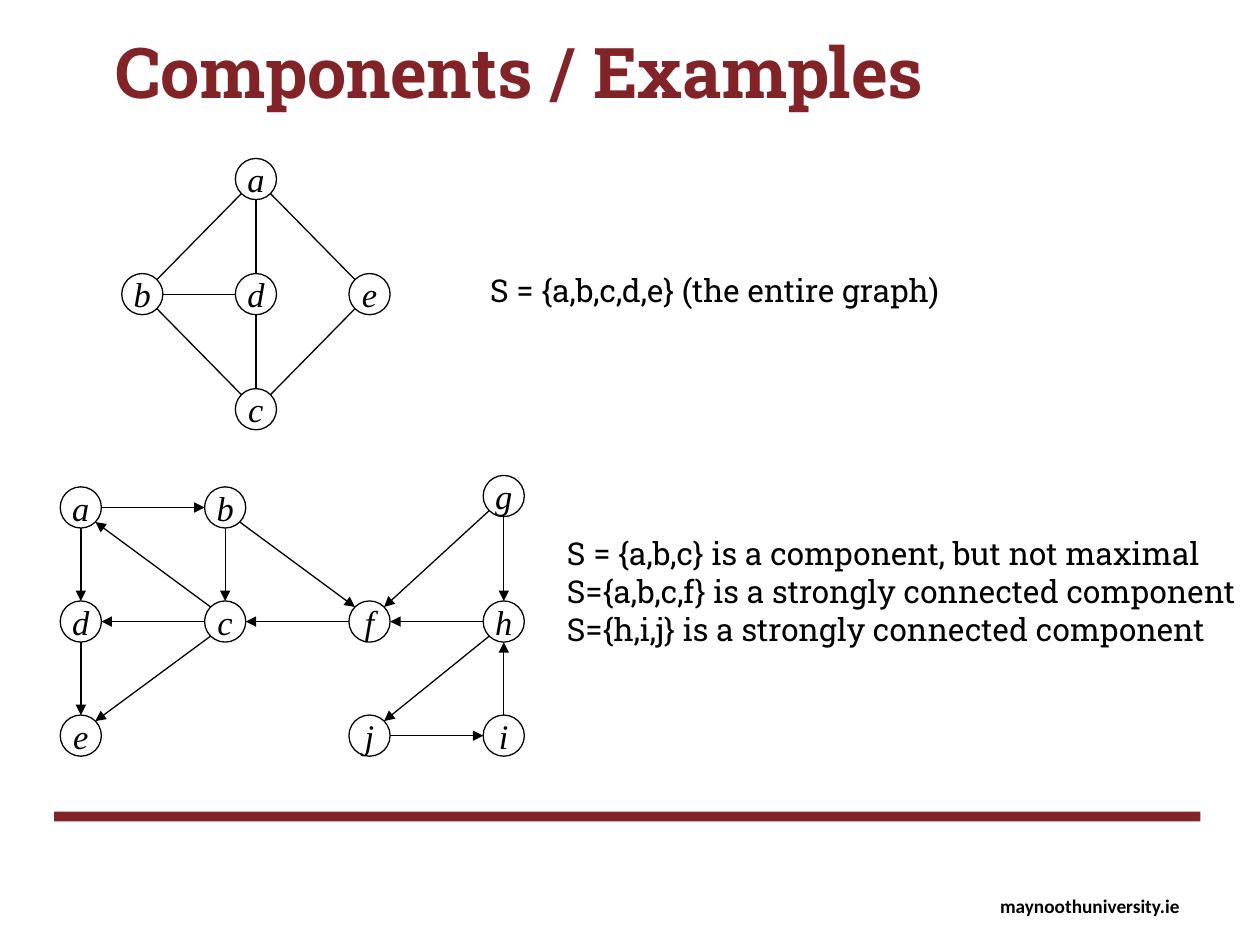
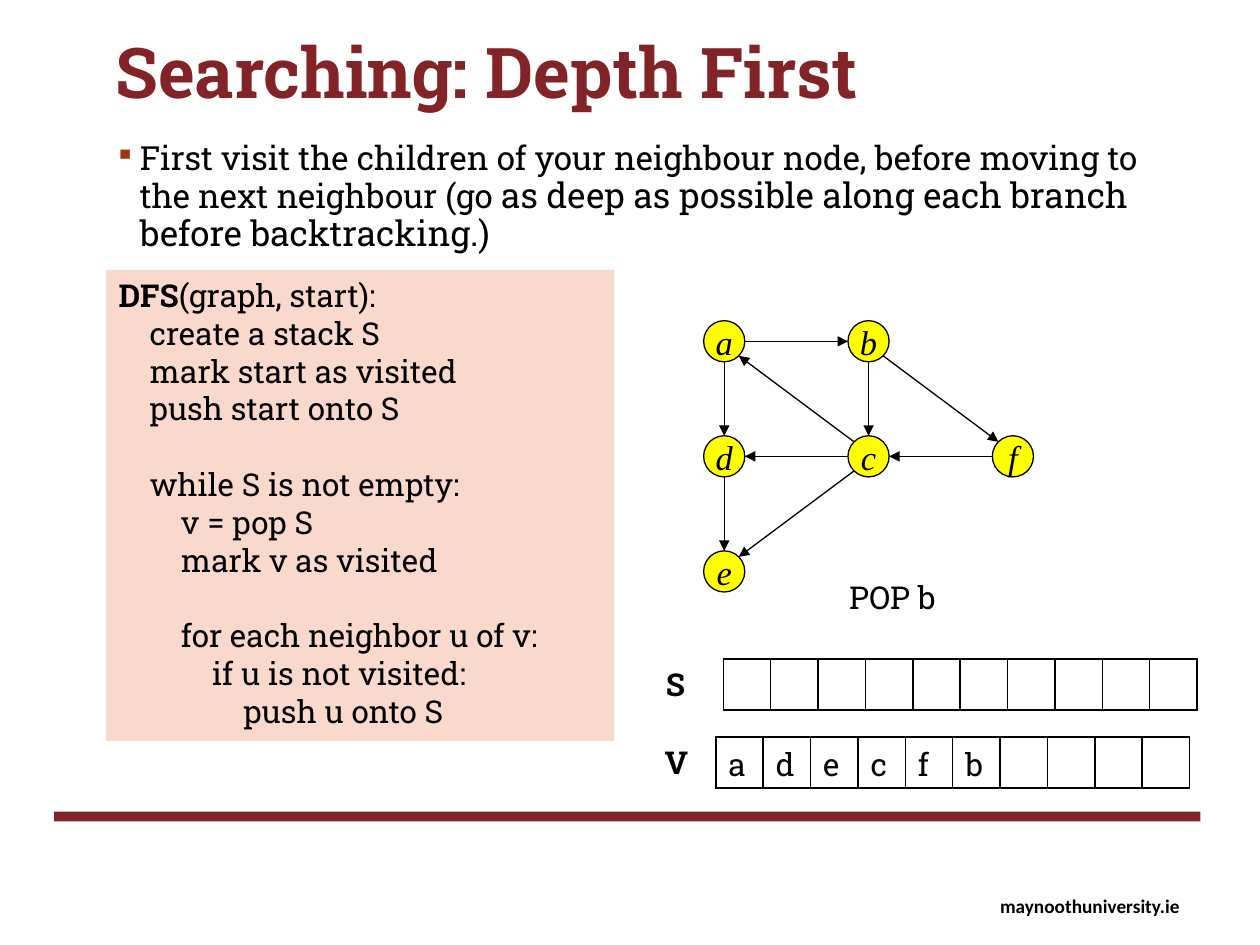
"""Builds two slides on graph components and depth-first search."""
from dataclasses import dataclass
from typing import Optional

from lxml.etree import SubElement
from pptx import Presentation
from pptx.dml.color import RGBColor
from pptx.enum.shapes import MSO_CONNECTOR, MSO_SHAPE
from pptx.enum.text import MSO_ANCHOR, PP_ALIGN
from pptx.oxml.ns import qn
from pptx.util import Cm, Pt


@dataclass(frozen=True)
class Theme:
    maroon: str = "822327"
    black: str = "000000"
    peach: str = "FAD9CD"
    yellow: str = "FFFF00"
    bullet: str = "9E3611"
    body_font: str = "Roboto Slab"
    node_font: str = "Times New Roman"
    footer_font: str = "Calibri"
    title_size: float = 40
    lead_size: float = 19
    lead_end_size: float = 20
    body_size: float = 18
    node_size: float = 19.7
    footer_size: float = 11
    line_width: float = 0.75
    border_width: float = 1
    code_gap: float = 21.6


THEME = Theme()


@dataclass(frozen=True)
class Label:
    left: float
    top: float
    width: float
    height: float
    lines: tuple
    size: float = THEME.body_size
    font: str = THEME.body_font
    color: str = THEME.black
    bold: bool = False
    align: PP_ALIGN = PP_ALIGN.LEFT
    spacing: Optional[float] = None


@dataclass(frozen=True)
class Graph:
    left: float
    top: float
    col_step: float
    row_step: float
    nodes: dict
    edges: str
    directed: bool = True
    fill: Optional[str] = None


@dataclass(frozen=True)
class CellStrip:
    name: str
    left: float
    top: float
    label_left: float
    values: str = ""


NODE_DIAMETER = 0.83
DIAGONAL = 0.5 ** 0.5
STRIP_CELLS = 10
STRIP_WIDTH = 9.55
STRIP_HEIGHT = 1.03

DIAMOND = {"a": (1, 0), "b": (0, 1), "c": (1, 2), "d": (1, 1), "e": (2, 1)}
CORE = {"a": (0, 0), "d": (0, 1), "e": (0, 2), "b": (1, 0), "c": (1, 1), "f": (2, 1)}
TAIL = {"j": (2, 2), "h": (2.93, 1), "g": (2.93, -0.1), "i": (2.93, 2)}
CORE_EDGES = "ad ab bc ca cd ce de bf fc"
TAIL_EDGES = "gf gh hj ji ih hf"

DFS_CODE = (
    "(graph, start):",
    "    create a stack S",
    "    mark start as visited",
    "    push start onto S",
    "    while S is not empty:",
    "        v = pop S",
    "        mark v as visited",
    "        for each neighbor u of v:",
    "            if u is not visited:",
    "                push u onto S",
)
CODE_BLOCK_STARTS = (4, 7)


def rgb(color: str) -> RGBColor:
    return RGBColor.from_string(color)


def style(font, size: float, name: str = THEME.body_font, color: str = THEME.black,
          bold: bool = False, italic: bool = False) -> None:
    font.size, font.name, font.bold, font.italic = Pt(size), name, bold, italic
    font.color.rgb = rgb(color)


def add_label(s, label: Label):
    sp = s.shapes.add_textbox(Cm(label.left), Cm(label.top), Cm(label.width), Cm(label.height))
    tf = sp.text_frame
    tf.word_wrap = True
    for i, line in enumerate(label.lines):
        p = tf.paragraphs[0] if i == 0 else tf.add_paragraph()
        p.text = line
        p.alignment = label.align
        p.line_spacing = label.spacing
        style(p.font, label.size, label.font, label.color, label.bold)
    return sp


def add_block(s, left: float, top: float, width: float, height: float, fill: str):
    sp = s.shapes.add_shape(MSO_SHAPE.RECTANGLE, Cm(left), Cm(top), Cm(width), Cm(height))
    sp.shadow.inherit = False
    sp.fill.solid()
    sp.fill.fore_color.rgb = rgb(fill)
    sp.line.fill.background()
    return sp


def add_node(s, letter: str, x: float, y: float, fill: Optional[str]) -> None:
    r = NODE_DIAMETER / 2
    sp = s.shapes.add_shape(MSO_SHAPE.OVAL, Cm(x - r), Cm(y - r),
                            Cm(NODE_DIAMETER), Cm(NODE_DIAMETER))
    sp.shadow.inherit = False
    if fill:
        sp.fill.solid()
        sp.fill.fore_color.rgb = rgb(fill)
    else:
        sp.fill.background()
    sp.line.color.rgb = rgb(THEME.black)
    sp.line.width = Pt(THEME.line_width)
    tf = sp.text_frame
    tf.word_wrap = False
    tf.vertical_anchor = MSO_ANCHOR.MIDDLE
    p = tf.paragraphs[0]
    p.text = letter
    p.alignment = PP_ALIGN.CENTER
    style(p.font, THEME.node_size, THEME.node_font, italic=True)


def add_edge(s, start: tuple, end: tuple, directed: bool) -> None:
    signs = [(b > a) - (b < a) for a, b in zip(start, end)]
    reach = NODE_DIAMETER / 2 * (DIAGONAL if all(signs) else 1)
    x1, y1 = (a + reach * sign for a, sign in zip(start, signs))
    x2, y2 = (b - reach * sign for b, sign in zip(end, signs))
    line = s.shapes.add_connector(MSO_CONNECTOR.STRAIGHT, Cm(x1), Cm(y1), Cm(x2), Cm(y2))
    line.line.color.rgb = rgb(THEME.black)
    line.line.width = Pt(THEME.line_width)
    if directed:
        SubElement(line.line._get_or_add_ln(), qn("a:tailEnd"), type="triangle")
    SubElement(line._element.spPr, qn("a:effectLst"))


def add_graph(s, graph: Graph) -> None:
    centres = {letter: (graph.left + col * graph.col_step, graph.top + row * graph.row_step)
               for letter, (col, row) in graph.nodes.items()}
    for letter, (x, y) in centres.items():
        add_node(s, letter, x, y, graph.fill)
    for start, end in graph.edges.split():
        add_edge(s, centres[start], centres[end], graph.directed)


def add_strip(s, strip: CellStrip) -> None:
    add_label(s, Label(strip.label_left, strip.top, 1.47, 1.02, (strip.name,),
                       bold=True, align=PP_ALIGN.CENTER))
    table = s.shapes.add_table(1, STRIP_CELLS, Cm(strip.left), Cm(strip.top),
                               Cm(STRIP_WIDTH), Cm(STRIP_HEIGHT)).table
    table.first_row = table.horz_banding = False
    for cell, letter in zip(table.iter_cells(), strip.values.ljust(STRIP_CELLS)):
        p = cell.text_frame.paragraphs[0]
        p.text = letter.strip()
        style(p.font, THEME.body_size)
        tc_pr = cell._tc.get_or_add_tcPr()
        for side in ("lnL", "lnR", "lnT", "lnB"):
            ln = SubElement(tc_pr, qn(f"a:{side}"), w=str(Pt(THEME.border_width)))
            solid = SubElement(ln, qn("a:solidFill"))
            SubElement(solid, qn("a:srgbClr"), val=THEME.black)
        cell.fill.background()


def add_lead(s) -> None:
    sp = s.shapes.add_textbox(Cm(1.3), Cm(2.74), Cm(22.63), Cm(2.34))
    sp.text_frame.word_wrap = True
    p = sp.text_frame.paragraphs[0]
    p.line_spacing = 0.9
    p_pr = p._p.get_or_add_pPr()
    p_pr.set("marL", str(Cm(1.27)))
    p_pr.set("indent", str(Cm(-0.51)))
    SubElement(SubElement(p_pr, qn("a:buClr")), qn("a:srgbClr"), val=THEME.bullet)
    SubElement(p_pr, qn("a:buSzPct"), val="85000")
    SubElement(p_pr, qn("a:buChar"), char="▪")
    style(p.font, THEME.lead_size)
    for text, size in (
        ("First visit the children of your neighbour node, before moving to the next "
         "neighbour (go ", THEME.lead_size),
        ("as deep as possible along each branch before backtracking.)", THEME.lead_end_size),
    ):
        r = p.add_run()
        r.text = text
        r.font.size = Pt(size)


def add_code(s) -> None:
    tf = add_block(s, 2.14, 5.44, 10.24, 9.5, THEME.peach).text_frame
    tf.word_wrap = True
    tf.vertical_anchor = MSO_ANCHOR.TOP
    for i, line in enumerate(DFS_CODE):
        p = tf.paragraphs[0] if i == 0 else tf.add_paragraph()
        p.alignment = PP_ALIGN.LEFT
        style(p.font, THEME.body_size)
        if i == 0:
            r = p.add_run()
            r.text = "DFS"
            r.font.bold = True
        if i in CODE_BLOCK_STARTS:
            p.space_before = Pt(THEME.code_gap)
        r = p.add_run()
        r.text = line
        r.font.color.rgb = rgb(THEME.black)
        if i == 0:
            p.runs[0].font.color.rgb = rgb(THEME.black)


def new_slide(prs, title: str):
    s = prs.slides.add_slide(prs.slide_layouts[6])
    add_label(s, Label(19.91, 17.91, 4.3, 0.74, ("maynoothuniversity.ie",),
                       THEME.footer_size, THEME.footer_font, bold=True))
    add_block(s, 1.09, 16.36, 23.11, 0.2, THEME.maroon)
    add_label(s, Label(2.08, 0.64, 21, 3.12, (title,), THEME.title_size,
                       color=THEME.maroon, bold=True, spacing=0.9))
    return s


def components_slide(prs) -> None:
    s = new_slide(prs, "Components / Examples")
    add_graph(s, Graph(2.87, 3.61, 2.29, 2.32, DIAMOND, "ad dc bd ab ae ec cb", directed=False))
    add_graph(s, Graph(1.63, 10.23, 2.91, 2.3, CORE | TAIL, f"{CORE_EDGES} {TAIL_EDGES}"))
    add_label(s, Label(9.63, 5.33, 12.5, 1.02, ("S = {a,b,c,d,e} (the entire graph)",)))
    add_label(s, Label(11.18, 10.64, 14.22, 2.57, (
        "S = {a,b,c} is a component, but not maximal",
        "S={a,b,c,f} is a strongly connected component",
        "S={h,i,j} is a strongly connected component",
    )))


def depth_first_slide(prs) -> None:
    s = new_slide(prs, "Searching: Depth First")
    add_lead(s)
    add_code(s)
    add_graph(s, Graph(14.6, 6.88, 2.91, 2.32, CORE, CORE_EDGES, fill=THEME.yellow))
    add_strip(s, CellStrip("S", 14.58, 13.28, 12.88))
    add_strip(s, CellStrip("V", 14.43, 14.86, 12.9, "adecfb"))
    add_label(s, Label(16.87, 11.53, 7.14, 1.02, ("POP b",)))


def main() -> None:
    prs = Presentation()
    prs.slide_width, prs.slide_height = Cm(25.4), Cm(19.05)
    components_slide(prs)
    depth_first_slide(prs)
    prs.save("out.pptx")


if __name__ == "__main__":
    main()
